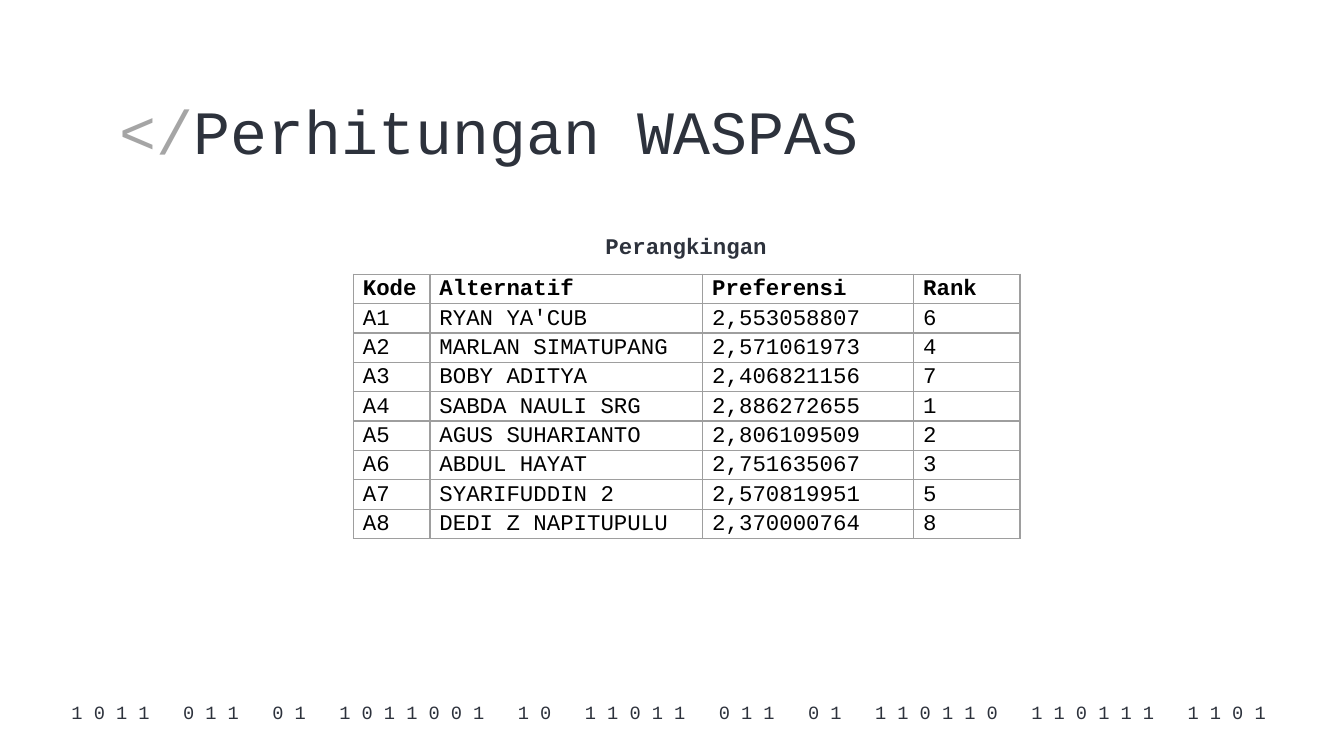
from pptx import Presentation
from pptx.dml.color import RGBColor
from pptx.enum.text import MSO_ANCHOR as Anchor, PP_ALIGN as Align
from pptx.oxml import parse_xml
from pptx.oxml.ns import nsdecls
from pptx.util import Inches, Pt

FONT = "Courier New"
INK, GREY, BLACK, RULE = "2D323C", "A5A5A5", "000000", "9E9E9E"
BINARY = "1011 011 01 1011001 10 11011 011 01 110110 110111 1101"
COLUMN_WIDTHS = [0.57, 2.03, 1.57, 0.79]
TABLE_HEIGHT = 1.97
RANKING = [
    ("Kode", "Alternatif", "Preferensi", "Rank"),
    ("A1", "RYAN YA'CUB", "2,553058807", "6"),
    ("A2", "MARLAN SIMATUPANG", "2,571061973", "4"),
    ("A3", "BOBY ADITYA", "2,406821156", "7"),
    ("A4", "SABDA NAULI SRG", "2,886272655", "1"),
    ("A5", "AGUS SUHARIANTO", "2,806109509", "2"),
    ("A6", "ABDUL HAYAT", "2,751635067", "3"),
    ("A7", "SYARIFUDDIN 2", "2,570819951", "5"),
    ("A8", "DEDI Z NAPITUPULU", "2,370000764", "8"),
]


def rgb(value):
    """Turn a hex string into a colour."""
    return RGBColor.from_string(value)


def apply(target, formats):
    """Set every attribute named in a dict of format values."""
    for name, value in formats.items():
        setattr(target, name, value)


def margins(side, edge):
    """Give the four inner margins of a frame or cell."""
    return {"margin_left": Inches(side), "margin_right": Inches(side),
            "margin_top": Inches(edge), "margin_bottom": Inches(edge)}


def write(paragraph, text, size, color, bold=False):
    """Add one formatted run to a paragraph."""
    run = paragraph.add_run()
    run.text = text
    apply(run.font, {"name": FONT, "size": Pt(size), "bold": bold})
    run.font.color.rgb = rgb(color)


def add_title(slide, left, top, width, height):
    """Place the slide title in its placeholder."""
    title = slide.shapes.title
    apply(title, {"left": Inches(left), "top": Inches(top),
                  "width": Inches(width), "height": Inches(height)})
    apply(title.text_frame, {"vertical_anchor": Anchor.TOP, "word_wrap": True,
                             **margins(0.1, 0.1)})
    heading = title.text_frame.paragraphs[0]
    heading.alignment = Align.LEFT
    write(heading, "</", 33, GREY)
    write(heading, "Perhitungan WASPAS", 33, INK)


def add_centred_line(slide, left, top, width, height, text, size, edge, bold=False):
    """Place one centred line of text in a box."""
    box = slide.shapes.add_textbox(*map(Inches, (left, top, width, height)))
    apply(box.text_frame, {"vertical_anchor": Anchor.MIDDLE, "word_wrap": True,
                           **margins(0.1, edge)})
    line = box.text_frame.paragraphs[0]
    line.alignment = Align.CENTER
    write(line, text, size, INK, bold)


def add_borders(cell):
    """Draw a thin rule on all four sides of a cell."""
    properties = cell._tc.get_or_add_tcPr()
    for position, side in enumerate(("lnL", "lnR", "lnT", "lnB")):
        properties.insert(position, parse_xml(
            f'<a:{side} {nsdecls("a")} w="{Pt(0.75)}"><a:solidFill>'
            f'<a:srgbClr val="{RULE}"/></a:solidFill></a:{side}>'))


def add_ranking(slide, left, top, width):
    """Place the ranking table and the caption above it."""
    ranking = slide.shapes.add_table(
        len(RANKING), len(COLUMN_WIDTHS), Inches(left), Inches(top + 0.36),
        Inches(width), Inches(TABLE_HEIGHT)).table
    apply(ranking, {"first_row": False, "horz_banding": False})
    for column, column_width in zip(ranking.columns, COLUMN_WIDTHS):
        column.width = Inches(column_width)
    for row_index, entries in enumerate(RANKING):
        for column_index, entry in enumerate(entries):
            cell = ranking.cell(row_index, column_index)
            cell.fill.background()
            add_borders(cell)
            apply(cell, {"vertical_anchor": Anchor.MIDDLE, **margins(0.07, 0)})
            line = cell.text_frame.paragraphs[0]
            apply(line, {"line_spacing": 1.07, "space_after": Pt(8)})
            write(line, entry, 12, BLACK, row_index == 0)
    add_centred_line(slide, left, top, width, 0.3, "Perangkingan", 12, 0.05, True)


def main():
    """Build the slide and save it."""
    deck = Presentation()
    apply(deck, {"slide_width": Inches(10), "slide_height": Inches(10) * 9 // 16})
    slide = deck.slides.add_slide(deck.slide_layouts[5])
    slide.background.fill.solid()
    slide.background.fill.fore_color.rgb = rgb("FFFFFF")
    spaced_digits = "".join(f"{digit} " for digit in BINARY)
    add_centred_line(slide, 0.38, 5.2, 9.27, 0.2, spaced_digits, 10, 0.1)
    add_title(slide, 0.79, 0.59, 8.43, 1.09)
    add_ranking(slide, 2.63, 1.68, 4.95)
    deck.save("out.pptx")


if __name__ == "__main__":
    main()
